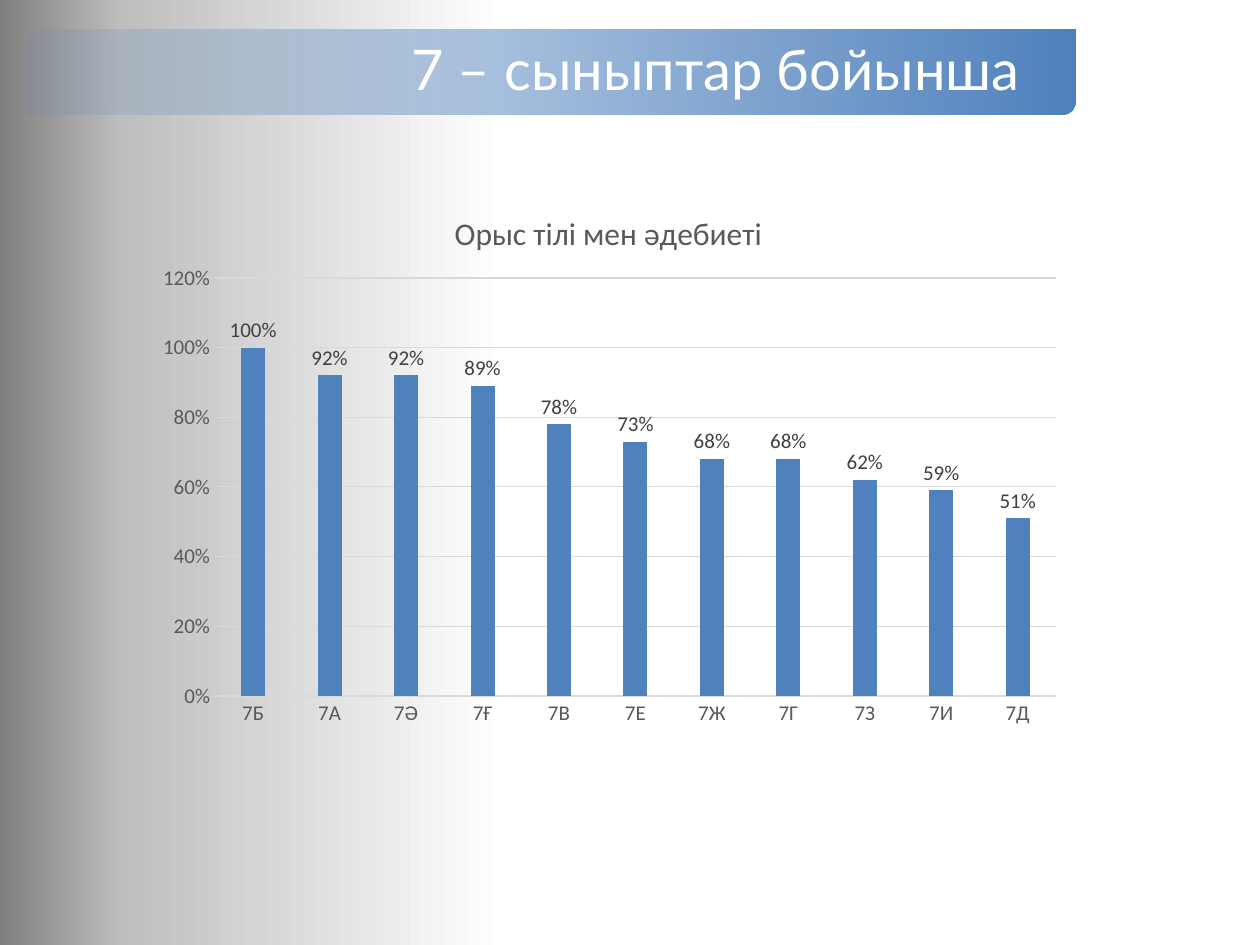
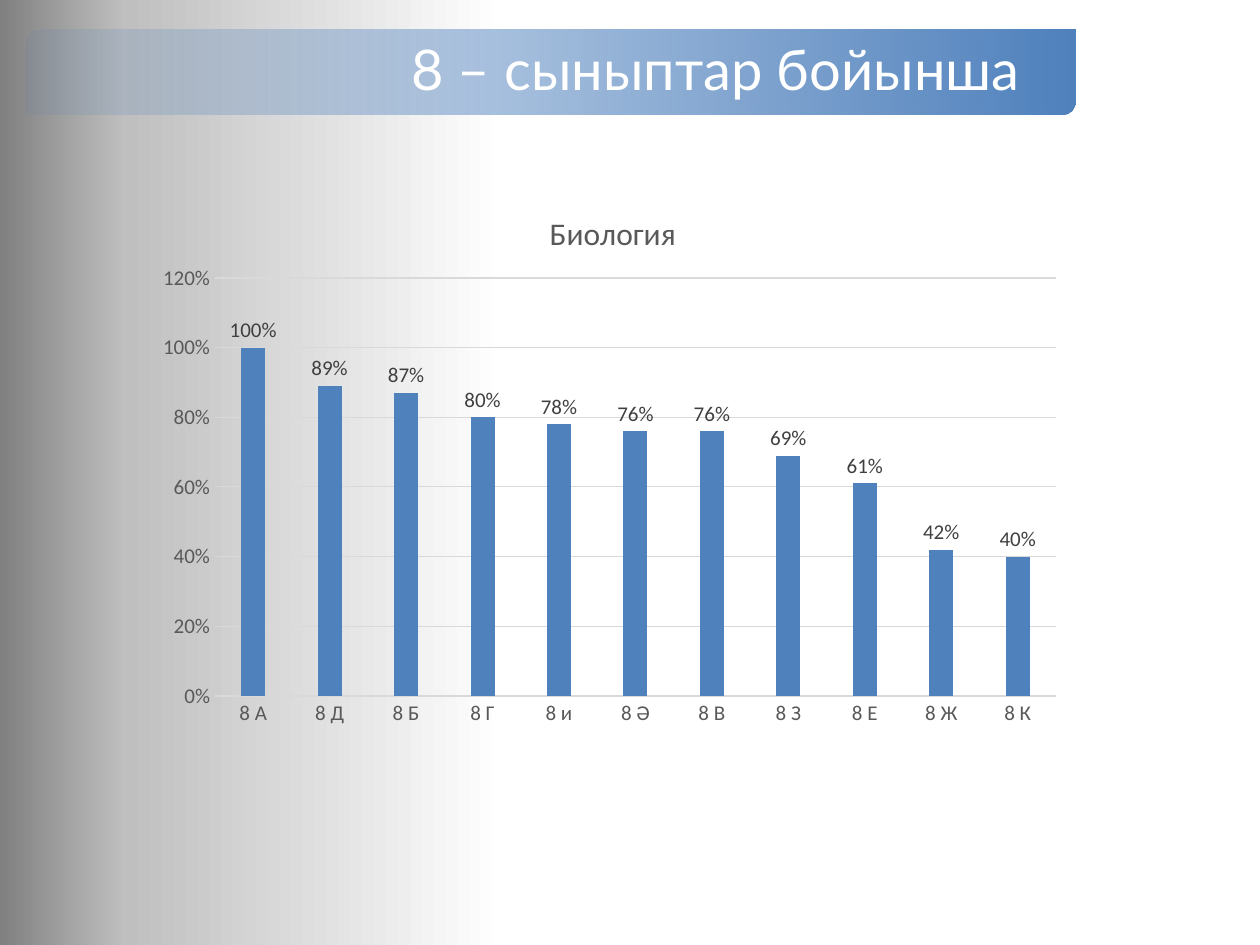
from lxml import etree
from pptx import Presentation
from pptx import util as u
from pptx.chart.data import CategoryChartData
from pptx.dml.color import RGBColor
from pptx.enum import chart as charts, shapes, text
from pptx.oxml.ns import qn

SCALE = 914400 / 126
COLOURS = {
    "accent": "4F81BD", "white": "FFFFFF", "silver": "BFBFBF", "grey": "808080",
    "axis": "595959", "label": "404040", "grid": "D9D9D9",
}
BACKGROUND = [(60, "white", 100), (90, "silver", 100), (100, "grey", 100)]
BAND = [(0, "accent", 10), (100, "accent", 100)]
CHART = (144, 176, 931, 559)
PLOT = (215, 278, 841, 418)
SUBJECT_TOP = 206

CLASSES = [
    ("7 – сыныптар бойынша", "Орыс тілі мен әдебиеті", 449, {
        "7Б": 1, "7А": 0.92, "7Ә": 0.92, "7Ғ": 0.89, "7В": 0.78, "7Е": 0.73,
        "7Ж": 0.68, "7Г": 0.68, "7З": 0.62, "7И": 0.59, "7Д": 0.51}),
    ("8 – сыныптар бойынша", "Биология", 544, {
        "8 А": 1, "8 Д": 0.89, "8 Б": 0.87, "8 Г": 0.8, "8 и": 0.78, "8 Ә": 0.76,
        "8 В": 0.76, "8 З": 0.69, "8 Е": 0.61, "8 Ж": 0.42, "8 К": 0.4}),
]


def px(length):
    return u.Emu(round(length * SCALE))


def colour(name):
    return RGBColor.from_string(COLOURS[name])


class Deck:
    def __init__(self):
        self.presentation = Presentation()
        self.presentation.slide_width = px(1260)
        self.presentation.slide_height = px(945)
        self.slide = None

    def new_slide(self):
        self.slide = self.presentation.slides.add_slide(self.presentation.slide_layouts[6])
        self.gradient(self.slide.background.fill, self.slide.element, BACKGROUND, 180)

    def gradient(self, fill, element, stops, angle):
        fill.gradient()
        fill.gradient_angle = angle
        stop_list = element.find(".//" + qn("a:gsLst"))
        for old_stop in list(stop_list):
            stop_list.remove(old_stop)
        for position, name, opacity in stops:
            stop = etree.SubElement(stop_list, qn("a:gs"), pos=str(position * 1000))
            tone = etree.SubElement(stop, qn("a:srgbClr"), val=COLOURS[name])
            if opacity < 100:
                etree.SubElement(tone, qn("a:alpha"), val=str(opacity * 1000))

    def style(self, font, size, name, face="Calibri"):
        font.size = u.Pt(size)
        font.name = face
        font.bold = False
        font.color.rgb = colour(name)

    def heading(self, wording):
        band = self.slide.shapes.add_shape(
            shapes.MSO_SHAPE.ROUND_2_DIAG_RECTANGLE, px(25), px(30), px(1050), px(85))
        band.shadow.inherit = False
        band.line.fill.background()
        self.gradient(band.fill, band.element, BAND, 0)
        frame = band.text_frame
        frame.word_wrap = True
        frame.vertical_anchor = text.MSO_ANCHOR.MIDDLE
        frame.margin_left = px(382)
        frame.margin_top = frame.margin_right = frame.margin_bottom = px(21)
        frame.text = wording
        line = frame.paragraphs[0]
        line.alignment = text.PP_ALIGN.LEFT
        line.line_spacing = 0.9
        self.style(line.runs[0].font, 32, "white", "Lato")

    def place(self, parent, index, left, top, size=None):
        for old_layout in parent.findall(qn("c:layout")):
            parent.remove(old_layout)
        layout = etree.Element(qn("c:layout"))
        manual = etree.SubElement(layout, qn("c:manualLayout"))
        settings = {"xMode": "edge", "yMode": "edge",
                    "x": (left - CHART[0]) / CHART[2], "y": (top - CHART[1]) / CHART[3]}
        if size:
            etree.SubElement(manual, qn("c:layoutTarget"), val="inner")
            settings.update(w=size[0] / CHART[2], h=size[1] / CHART[3])
        for tag, value in settings.items():
            etree.SubElement(manual, qn("c:" + tag), val=str(value))
        parent.insert(index, layout)

    def axis(self, axis):
        axis.major_tick_mark = axis.minor_tick_mark = charts.XL_TICK_MARK.NONE
        self.style(axis.tick_labels.font, 12, "axis")

    def rule(self, line):
        line.color.rgb = colour("grid")
        line.width = u.Pt(0.75)

    def results(self, subject, subject_left, scores):
        data = CategoryChartData(number_format="0%")
        data.categories = list(scores)
        data.add_series("Series 1", list(scores.values()))
        chart = self.slide.shapes.add_chart(
            charts.XL_CHART_TYPE.COLUMN_CLUSTERED, *map(px, CHART), data).chart
        chart.has_legend = False
        chart.font.size = u.Pt(10)
        chart.font.name = "Calibri"

        title = chart.chart_title
        title.text_frame.text = subject
        self.style(title.text_frame.paragraphs[0].runs[0].font, 18, "axis")
        title.include_in_layout = False
        self.place(title.format.element if hasattr(title.format, "element")
                   else chart.element.find(".//" + qn("c:title")), 1, subject_left, SUBJECT_TOP)
        self.place(chart.element.find(".//" + qn("c:plotArea")), 0, *PLOT[:2], PLOT[2:])

        self.axis(chart.category_axis)
        self.rule(chart.category_axis.format.line)
        scale = chart.value_axis
        self.axis(scale)
        scale.format.line.fill.background()
        scale.has_major_gridlines = True
        self.rule(scale.major_gridlines.format.line)
        scale.minimum_scale, scale.maximum_scale, scale.major_unit = 0, 1.2, 0.2
        scale.tick_labels.number_format = "0%"
        scale.tick_labels.number_format_is_linked = False

        plot = chart.plots[0]
        plot.vary_by_categories = False
        plot.gap_width, plot.overlap = 219, -27
        bars = plot.series[0]
        bars.format.fill.solid()
        bars.format.fill.fore_color.rgb = colour("accent")
        labels = bars.data_labels
        labels.show_value = True
        labels.number_format = "0%"
        labels.number_format_is_linked = False
        labels.position = charts.XL_LABEL_POSITION.OUTSIDE_END
        self.style(labels.font, 12, "label")


def main():
    deck = Deck()
    for heading, subject, subject_left, scores in CLASSES:
        deck.new_slide()
        deck.heading(heading)
        deck.results(subject, subject_left, scores)
    deck.presentation.save("out.pptx")


if __name__ == "__main__":
    main()
